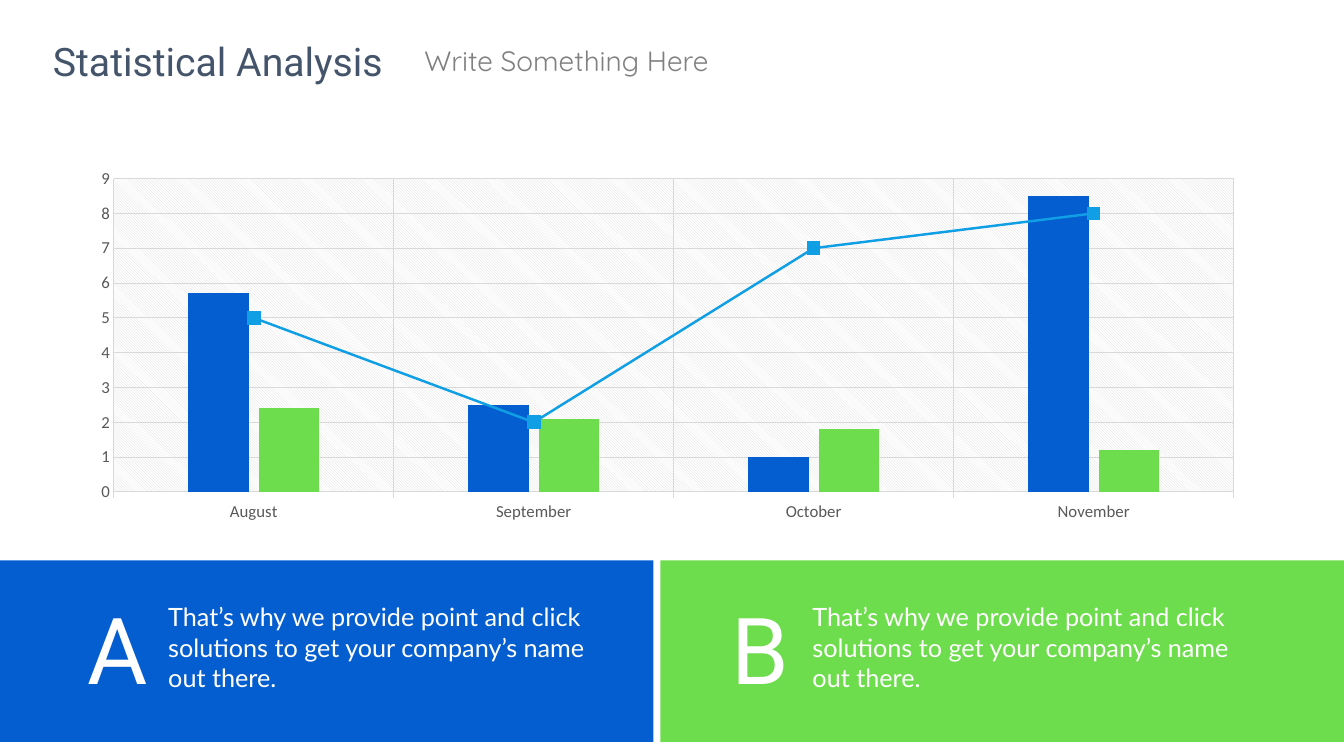
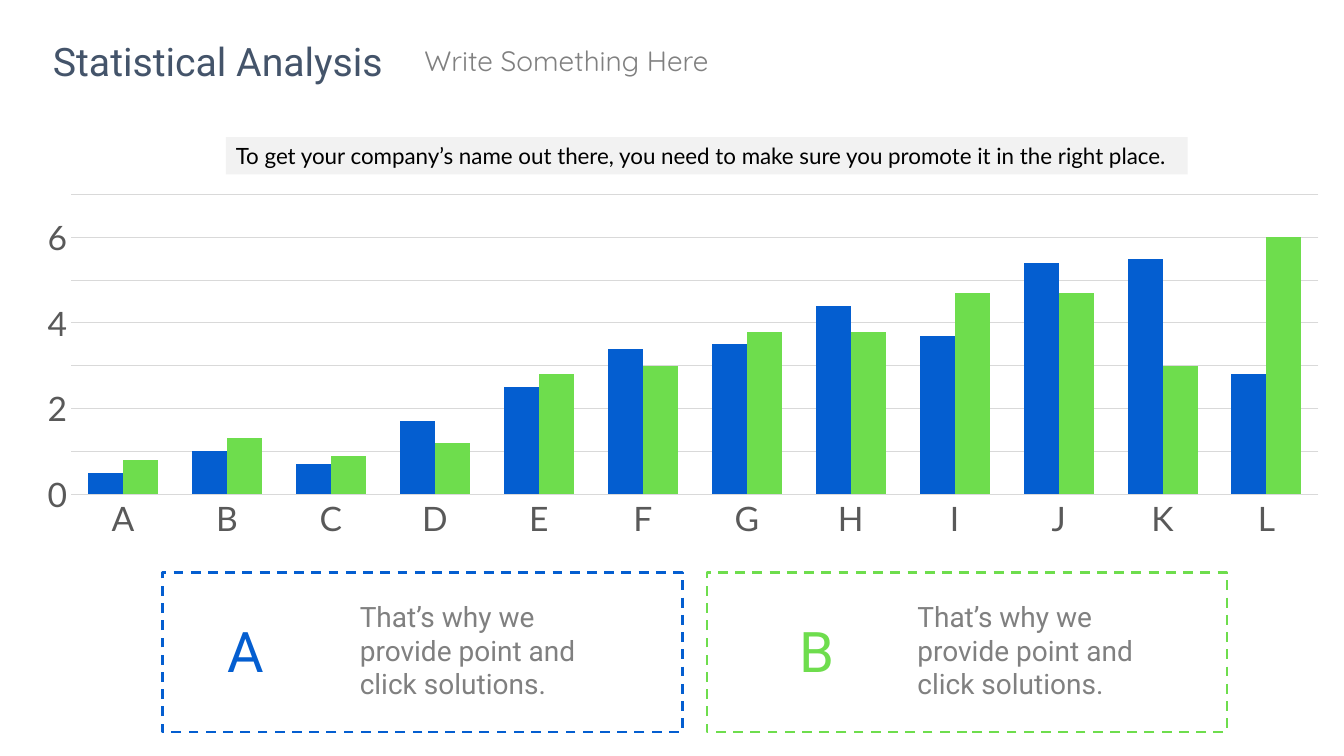
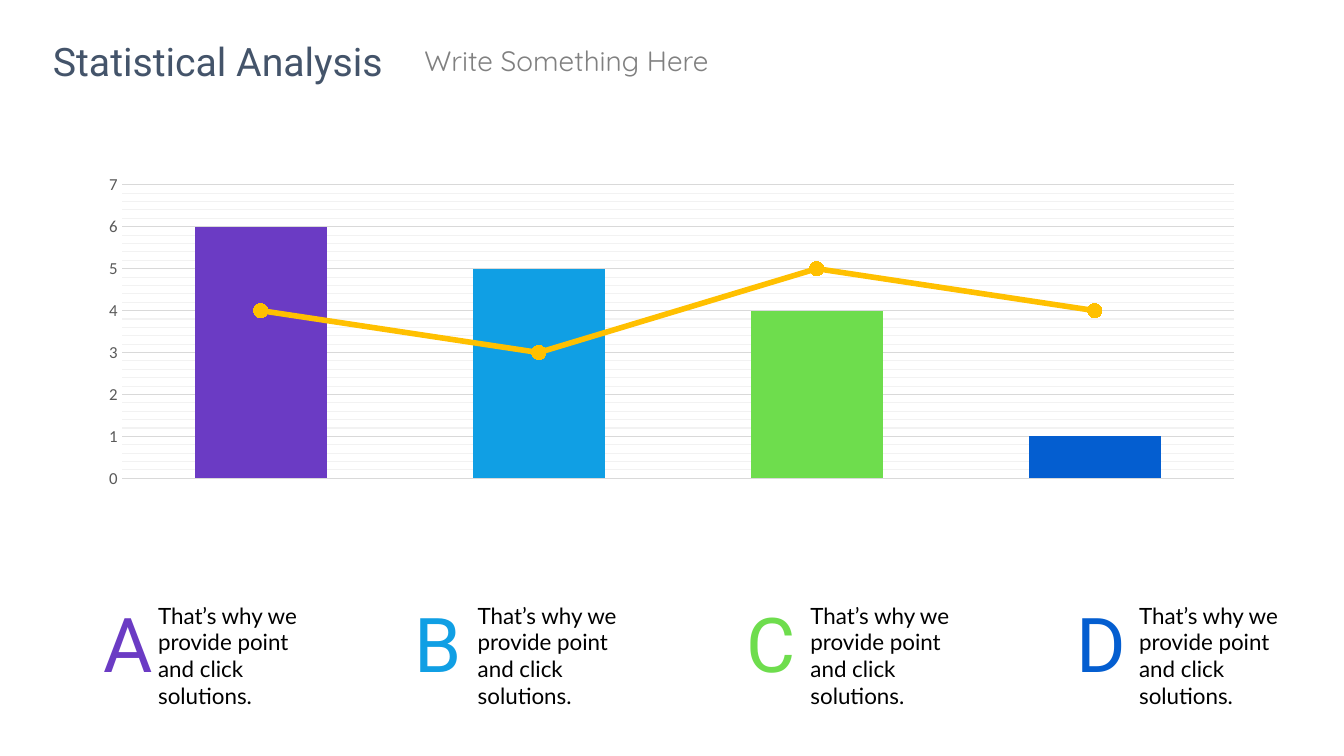
from dataclasses import dataclass
from typing import Optional

from lxml import etree
from pptx import Presentation
from pptx.chart.data import CategoryChartData
from pptx.dml.color import RGBColor
from pptx.enum.chart import XL_CHART_TYPE, XL_MARKER_STYLE, XL_TICK_MARK
from pptx.enum.dml import MSO_LINE
from pptx.enum.shapes import MSO_SHAPE
from pptx.enum.text import MSO_ANCHOR, MSO_AUTO_SIZE, PP_ALIGN
from pptx.oxml import parse_xml
from pptx.oxml.ns import nsdecls, qn
from pptx.util import Pt

EMU_PER_PX = 9144
LEFT, CENTER = PP_ALIGN.LEFT, PP_ALIGN.CENTER
TOP = MSO_ANCHOR.TOP
FIT_TEXT = MSO_AUTO_SIZE.SHAPE_TO_FIT_TEXT
RECTANGLE = MSO_SHAPE.RECTANGLE
CLUSTERED = XL_CHART_TYPE.COLUMN_CLUSTERED
TICK_NONE, TICK_OUTSIDE = XL_TICK_MARK.NONE, XL_TICK_MARK.OUTSIDE
SQUARE, CIRCLE = XL_MARKER_STYLE.SQUARE, XL_MARKER_STYLE.CIRCLE
DASH = MSO_LINE.DASH

COLORS = {
    "blue": "045ED0",
    "green": "6EDD4D",
    "sky": "109FE4",
    "purple": "6B3BC4",
    "amber": "FFC000",
    "orange": "ED7D31",
    "navy": "44546A",
    "gray": "808080",
    "axis": "595959",
    "grid": "D9D9D9",
    "pale": "F2F2F2",
    "black": "000000",
    "white": "FFFFFF",
}

LONG_TEXT = "That’s why we provide point and click solutions to get your company’s name out there."
SHORT_TEXT = "That’s why we provide point and click solutions."
PROMOTION_TEXT = (
    "To get your company’s name out there, you need to make sure "
    "you promote it in the right place."
)


@dataclass(frozen=True)
class Box:
    left: int
    top: int
    width: int
    height: int

    def emu(self) -> tuple:
        lengths = (self.left, self.top, self.width, self.height)
        return tuple(length * EMU_PER_PX for length in lengths)


@dataclass(frozen=True)
class TextStyle:
    size: int
    font: str
    color: str
    align: int = LEFT
    outline: Optional[str] = None


@dataclass(frozen=True)
class Callout:
    letter: str
    color: str
    letter_box: Box
    text_box: Box


@dataclass(frozen=True)
class LineLook:
    color: str
    width: float
    marker: int
    marker_size: int


@dataclass(frozen=True)
class ChartSpec:
    box: Box
    categories: tuple
    series: tuple
    bar_colors: tuple
    maximum: int
    gap: int
    overlap: int = 0
    axis_font: str = "Calibri"
    axis_size: int = 12
    line: Optional[LineLook] = None
    category_axis: bool = True
    category_grid: bool = False
    minor_unit: Optional[float] = None
    point_colors: tuple = ()
    hatched: bool = False


TITLE = TextStyle(28, "Roboto", "navy", CENTER)
SUBTITLE = TextStyle(20, "Quicksand", "gray")

BANDS = (
    (Box(0, 556, 648, 180), Callout("A", "blue", Box(77, 582, 47, 121), Box(157, 592, 448, 101))),
    (Box(655, 556, 679, 180), Callout("B", "green", Box(716, 582, 47, 121), Box(796, 592, 448, 101))),
)
FRAMES = (
    (Box(161, 568, 516, 158), Callout("A", "blue", Box(216, 607, 56, 77), Box(347, 590, 255, 111))),
    (Box(701, 568, 516, 158), Callout("B", "green", Box(782, 607, 56, 77), Box(900, 590, 255, 111))),
)
COLUMN_LEGEND = tuple(
    Callout(letter, color, Box(letter_left, 587, 48, 101), Box(text_left, 592, 173, 118))
    for letter, color, letter_left, text_left in (
        ("A", "purple", 93, 147),
        ("B", "sky", 401, 464),
        ("C", "green", 731, 794),
        ("D", "blue", 1058, 1120),
    )
)

MONTHLY_CHART = ChartSpec(
    box=Box(77, 160, 1170, 365),
    categories=("August", "September", "October", "November"),
    series=((5.7, 2.5, 1, 8.5), (2.4, 2.1, 1.8, 1.2), (5, 2, 7, 8)),
    bar_colors=("blue", "green"),
    maximum=9,
    gap=247,
    overlap=-16,
    line=LineLook("sky", 1.75, SQUARE, 9),
    category_grid=True,
    hatched=True,
)
PAIRED_CHART = ChartSpec(
    box=Box(21, 186, 1313, 356),
    categories=tuple("ABCDEFGHIJKL"),
    series=(
        (0.5, 1, 0.7, 1.7, 2.5, 3.4, 3.5, 4.4, 3.7, 5.4, 5.5, 2.8),
        (0.8, 1.3, 0.9, 1.2, 2.8, 3, 3.8, 3.8, 4.7, 4.7, 3, 6),
    ),
    bar_colors=("blue", "green"),
    maximum=7,
    gap=97,
    axis_font="Lato",
    axis_size=24,
)
RANKED_CHART = ChartSpec(
    box=Box(85, 167, 1162, 324),
    categories=("1", "2", "3", "4"),
    series=((6, 5, 4, 1), (None,) * 4, (4, 3, 5, 4)),
    bar_colors=("purple", "orange"),
    maximum=7,
    gap=111,
    overlap=100,
    line=LineLook("amber", 4, CIRCLE, 10),
    category_axis=False,
    minor_unit=0.2,
    point_colors=("purple", "sky", "green", "blue"),
)


def rgb(name: str) -> RGBColor:
    return RGBColor.from_string(COLORS[name])


def paint(fill, color: str) -> None:
    fill.solid()
    fill.fore_color.rgb = rgb(color)


def style_line(line, color: str, width: float) -> None:
    paint(line.fill, color)
    line.width = Pt(width)


def style_font(font, name: str, size: int, color: str) -> None:
    font.name = name
    font.size = Pt(size)
    font.color.rgb = rgb(color)


def line_xml(color: str, width: float) -> str:
    return (
        f'<a:ln {nsdecls("a")} w="{Pt(width)}"><a:solidFill>'
        f'<a:srgbClr val="{COLORS[color]}"/></a:solidFill></a:ln>'
    )


def write_text(shape, text: str, style: TextStyle) -> None:
    frame = shape.text_frame
    frame.word_wrap = True
    frame.auto_size = FIT_TEXT
    frame.vertical_anchor = TOP
    paragraph = frame.paragraphs[0]
    paragraph.alignment = style.align
    run = paragraph.add_run()
    run.text = text
    style_font(run.font, style.font, style.size, style.color)
    if style.outline:
        run.font._element.insert(0, parse_xml(line_xml(style.outline, 2)))


def add_text(slide, box: Box, text: str, style: TextStyle) -> None:
    write_text(slide.shapes.add_textbox(*box.emu()), text, style)


def add_rectangle(slide, box: Box, fill: Optional[str] = None, dashed: Optional[str] = None):
    shape = slide.shapes.add_shape(RECTANGLE, *box.emu())
    shape.shadow.inherit = False
    if fill:
        paint(shape.fill, fill)
    else:
        shape.fill.background()
    if dashed:
        style_line(shape.line, dashed, 1.75)
        shape.line.dash_style = DASH
    else:
        shape.line.fill.background()
    return shape


def add_callout(slide, callout: Callout, text: str, letter: TextStyle, body: TextStyle) -> None:
    add_text(slide, callout.letter_box, callout.letter, letter)
    add_text(slide, callout.text_box, text, body)


def move_last_series_to_line(chart, look: LineLook) -> None:
    bars = chart.plots[0]._element
    series_element = bars.findall(qn("c:ser"))[-1]
    for invert in series_element.findall(qn("c:invertIfNegative")):
        series_element.remove(invert)
    line_chart = parse_xml(
        f'<c:lineChart {nsdecls("c")}><c:grouping val="standard"/>'
        '<c:varyColors val="0"/><c:marker val="1"/></c:lineChart>'
    )
    line_chart.insert(2, series_element)
    for axis_id in bars.findall(qn("c:axId")):
        etree.SubElement(line_chart, qn("c:axId")).set("val", axis_id.get("val"))
    bars.addnext(line_chart)
    series = chart.plots[1].series[0]
    series.smooth = False
    style_line(series.format.line, look.color, look.width)
    series.marker.style = look.marker
    series.marker.size = look.marker_size
    paint(series.marker.format.fill, look.color)
    paint(series.marker.format.line.fill, look.color)


def hatch_plot_area(chart) -> None:
    plot_area = chart.plots[0]._element.getparent()
    plot_area.append(parse_xml(
        f'<c:spPr {nsdecls("c", "a")}><a:pattFill prst="ltDnDiag">'
        f'<a:fgClr><a:srgbClr val="{COLORS["grid"]}"/></a:fgClr>'
        f'<a:bgClr><a:srgbClr val="{COLORS["white"]}"/></a:bgClr>'
        '</a:pattFill><a:ln><a:noFill/></a:ln></c:spPr>'
    ))


def add_minor_gridlines(axis, unit: float) -> None:
    axis.minor_unit = unit
    axis.has_minor_gridlines = True
    gridlines = axis._element.find(qn("c:minorGridlines"))
    properties = etree.SubElement(gridlines, qn("c:spPr"))
    properties.append(parse_xml(line_xml("pale", 0.75)))


def style_axes(chart, spec: ChartSpec) -> None:
    values = chart.value_axis
    values.minimum_scale, values.maximum_scale = 0, spec.maximum
    values.major_unit = 1
    values.format.line.fill.background()
    style_line(values.major_gridlines.format.line, "grid", 0.75)
    if spec.minor_unit:
        add_minor_gridlines(values, spec.minor_unit)
    categories = chart.category_axis
    categories.visible = spec.category_axis
    style_line(categories.format.line, "grid", 0.75)
    categories.has_major_gridlines = spec.category_grid
    for axis in (values, categories):
        axis.major_tick_mark = axis.minor_tick_mark = TICK_NONE
        style_font(axis.tick_labels.font, spec.axis_font, spec.axis_size, "axis")
    if spec.category_grid:
        style_line(categories.major_gridlines.format.line, "grid", 0.75)
        categories.major_tick_mark = TICK_OUTSIDE


def add_column_chart(slide, spec: ChartSpec) -> None:
    data = CategoryChartData()
    data.categories = spec.categories
    for number, values in enumerate(spec.series, 1):
        data.add_series(f"Series {number}", values)
    chart = slide.shapes.add_chart(CLUSTERED, *spec.box.emu(), data).chart
    chart.has_legend = False
    chart.has_title = False
    style_font(chart.font, spec.axis_font, spec.axis_size, "black")
    plot = chart.plots[0]
    plot.vary_by_categories = False
    plot.gap_width = spec.gap
    plot.overlap = spec.overlap
    if spec.line:
        move_last_series_to_line(chart, spec.line)
    for series, color in zip(plot.series, spec.bar_colors):
        paint(series.format.fill, color)
    for index, color in enumerate(spec.point_colors):
        paint(plot.series[0].points[index].format.fill, color)
    style_axes(chart, spec)
    if spec.hatched:
        hatch_plot_area(chart)


def add_titled_slide(presentation):
    slide = presentation.slides.add_slide(presentation.slide_layouts[6])
    add_text(slide, Box(40, 32, 352, 57), "Statistical Analysis", TITLE)
    add_text(slide, Box(411, 38, 400, 44), "Write Something Here", SUBTITLE)
    return slide


def build_monthly_slide(presentation) -> None:
    slide = add_titled_slide(presentation)
    add_column_chart(slide, MONTHLY_CHART)
    letter = TextStyle(66, "Roboto", "white", CENTER)
    body = TextStyle(18, "Lato", "white")
    for band, callout in BANDS:
        add_rectangle(slide, band, fill=callout.color)
        add_callout(slide, callout, LONG_TEXT, letter, body)


def build_paired_slide(presentation) -> None:
    slide = add_titled_slide(presentation)
    add_column_chart(slide, PAIRED_CHART)
    banner = add_rectangle(slide, Box(224, 136, 954, 37), fill="pale")
    write_text(banner, PROMOTION_TEXT, TextStyle(16, "Lato", "black"))
    body = TextStyle(20, "Roboto", "gray")
    for frame, callout in FRAMES:
        letter = TextStyle(40, "Roboto", callout.color, CENTER)
        add_callout(slide, callout, SHORT_TEXT, letter, body)
        add_rectangle(slide, frame, dashed=callout.color)


def build_ranked_slide(presentation) -> None:
    slide = add_titled_slide(presentation)
    body = TextStyle(16, "Lato", "black")
    for callout in COLUMN_LEGEND:
        letter = TextStyle(54, "Roboto", callout.color, CENTER, outline="white")
        add_callout(slide, callout, SHORT_TEXT, letter, body)
    add_column_chart(slide, RANKED_CHART)


def main() -> None:
    presentation = Presentation()
    presentation.slide_width = 1333 * EMU_PER_PX
    presentation.slide_height = 750 * EMU_PER_PX
    build_monthly_slide(presentation)
    build_paired_slide(presentation)
    build_ranked_slide(presentation)
    presentation.save("out.pptx")


if __name__ == "__main__":
    main()
